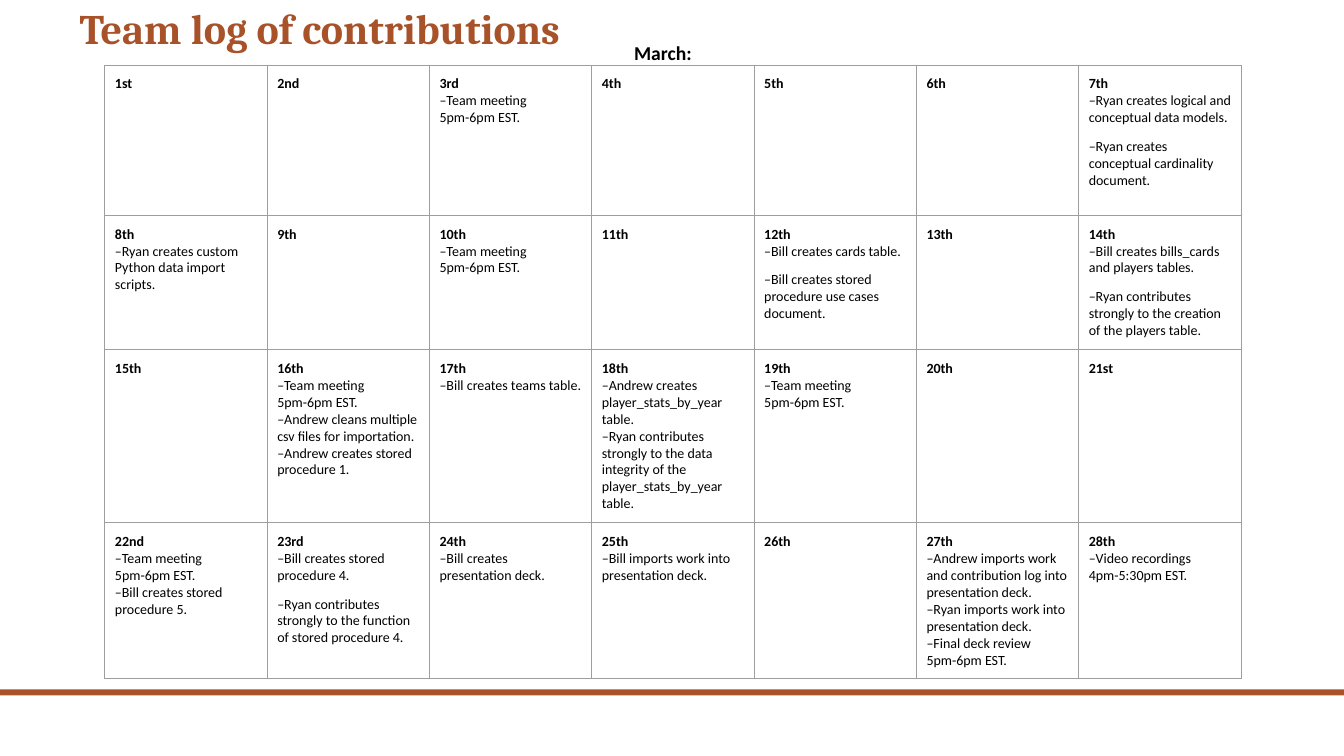
"""Build the team log slide with its March calendar."""
from lxml.etree import SubElement as Sub
from pptx import Presentation
from pptx.dml.color import RGBColor as RGB
from pptx.enum.shapes import MSO_SHAPE as Shape
from pptx.enum.text import MSO_ANCHOR as Anchor, MSO_AUTO_SIZE as Auto, PP_ALIGN as Align
from pptx.oxml.ns import qn
from pptx.util import Inches, Pt

RUST = RGB(0xA8, 0x52, 0x29)
GRAY = RGB(0x9E, 0x9E, 0x9E)
BLACK = RGB(0, 0, 0)
PAD = Inches(0.1)
WEEK = 7
ROWS = [1.49, 1.33, 1.71, 1.54]
MEET = "–Team meeting 5pm-6pm EST."
TASKS = {
    3: [MEET],
    7: ["–Ryan creates logical and conceptual data models.",
        "–Ryan creates conceptual cardinality document."],
    8: ["–Ryan creates custom Python data import scripts."],
    10: [MEET],
    12: ["–Bill creates cards table.",
         "–Bill creates stored procedure use cases document."],
    14: ["–Bill creates bills_cards and players tables.",
         "–Ryan contributes strongly to the creation of the players table."],
    16: [MEET,
         "–Andrew cleans multiple csv files for importation.",
         "–Andrew creates stored procedure 1."],
    17: ["–Bill creates teams table."],
    18: ["–Andrew creates player_stats_by_year table.",
         "–Ryan contributes strongly to the data integrity of the player_stats_by_year table."],
    19: [MEET],
    22: [MEET, "–Bill creates stored procedure 5."],
    23: ["–Bill creates stored procedure 4.",
         "–Ryan contributes strongly to the function of stored procedure 4."],
    24: ["–Bill creates presentation deck."],
    25: ["–Bill imports work into presentation deck."],
    27: ["–Andrew imports work and contribution log into presentation deck.",
         "–Ryan imports work into presentation deck.",
         "–Final deck review 5pm-6pm EST."],
    28: ["–Video recordings 4pm-5:30pm EST."],
}
SPACED = {7, 12, 14, 23}


def add_run(para, text, size, bold=False, face="Calibri", color=BLACK):
    """Add one formatted run to a paragraph."""
    run = para.add_run()
    run.text = text
    font = run.font
    font.size, font.bold, font.name = Pt(size), bold, face
    font.color.rgb = color


def set_pad(box, side, end):
    """Set the inner margins of a frame or cell."""
    box.margin_left = box.margin_right = side
    box.margin_top = box.margin_bottom = end


def add_bar(slide):
    """Draw the band along the foot of the slide."""
    bar = slide.shapes.add_shape(
        Shape.RECTANGLE, 0, Inches(6.84), Inches(13.33), Inches(0.06))
    bar.shadow.inherit = False
    bar.fill.solid()
    bar.fill.fore_color.rgb = RUST
    bar.line.fill.background()


def set_title(slide, text):
    """Place and format the slide title."""
    title = slide.shapes.title
    title.left, title.top = Inches(0.69), 0
    title.width, title.height = Inches(10.5), Inches(0.58)
    frame = title.text_frame
    frame.auto_size, frame.word_wrap = Auto.NONE, True
    frame.vertical_anchor = Anchor.BOTTOM
    set_pad(frame, PAD, Inches(0.05))
    para = frame.paragraphs[0]
    para.alignment, para.line_spacing = Align.LEFT, 0.9
    add_run(para, text, 30, True, "Cambria", RUST)


def add_month(slide, text):
    """Add the month label above the calendar."""
    box = slide.shapes.add_textbox(
        Inches(6.19), Inches(0.31), Inches(0.96), Inches(0.44))
    frame = box.text_frame
    frame.word_wrap = True
    frame.auto_size = Auto.SHAPE_TO_FIT_TEXT
    set_pad(frame, PAD, PAD)
    add_run(frame.paragraphs[0], text, 14, True)


def add_edges(cell):
    """Give a cell a thin line on every side."""
    props = cell._tc.get_or_add_tcPr()
    for side in "LRTB":
        line = Sub(props, qn(f"a:ln{side}"), w=str(Pt(0.75)))
        fill = Sub(line, qn("a:solidFill"))
        Sub(fill, qn("a:srgbClr"), val=str(GRAY))


def day_name(day):
    """Return the day number with its ordinal ending."""
    if 10 < day < 14:
        return f"{day}th"
    return f"{day}" + {1: "st", 2: "nd", 3: "rd"}.get(day % 10, "th")


def fill_day(cell, day):
    """Write a day and its tasks into a cell."""
    set_pad(cell, PAD, PAD)
    add_edges(cell)
    cell.fill.background()
    frame = cell.text_frame
    add_run(frame.paragraphs[0], day_name(day), 10, True)
    for place, task in enumerate(TASKS.get(day, [])):
        para = frame.add_paragraph()
        if place and day in SPACED:
            para.space_before = Pt(8.5)
        add_run(para, task, 10)


def add_days(slide):
    """Add the calendar table, one row a week."""
    wide = 1.61
    table = slide.shapes.add_table(
        len(ROWS), WEEK, Inches(1.04), Inches(0.65),
        Inches(wide * WEEK), Inches(sum(ROWS))).table
    table.first_row = table.horz_banding = False
    for col in table.columns:
        col.width = Inches(wide)
    for row, high in zip(table.rows, ROWS):
        row.height = Inches(high)
    for day, cell in enumerate(table.iter_cells(), 1):
        fill_day(cell, day)


def main():
    """Build and save the slide."""
    deck = Presentation()
    deck.slide_width, deck.slide_height = Inches(13.33), Inches(7.5)
    slide = deck.slides.add_slide(deck.slide_layouts[5])
    add_bar(slide)
    set_title(slide, "Team log of contributions")
    add_days(slide)
    add_month(slide, "March:")
    deck.save("out.pptx")


if __name__ == "__main__":
    main()
